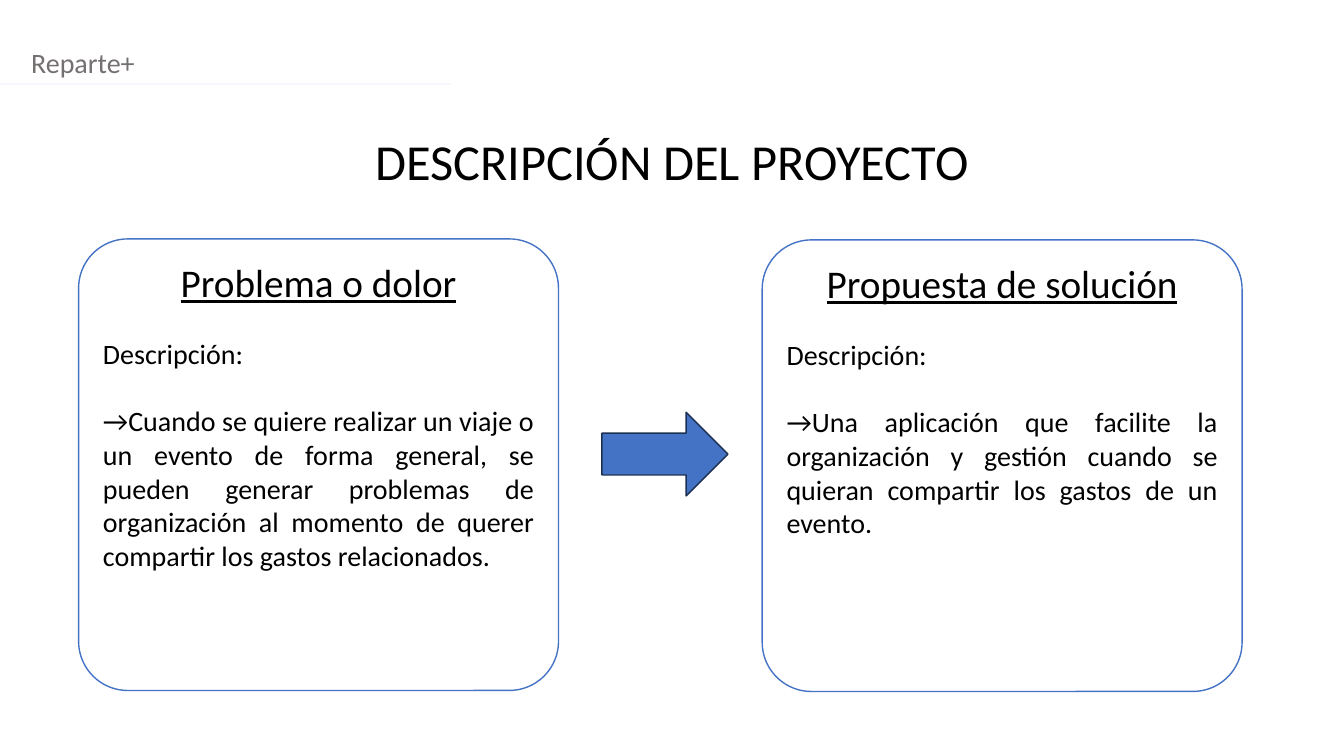
from lxml import etree
from pptx import Presentation
from pptx.dml.color import RGBColor
from pptx.enum.shapes import MSO_CONNECTOR, MSO_SHAPE
from pptx.enum.text import MSO_ANCHOR, PP_ALIGN
from pptx.oxml.ns import qn
from pptx.util import Inches, Pt

ROUNDED = MSO_SHAPE.ROUNDED_RECTANGLE
RIGHT_ARROW = MSO_SHAPE.RIGHT_ARROW
STRAIGHT = MSO_CONNECTOR.STRAIGHT
TOP = MSO_ANCHOR.TOP
LEFT, CENTER, JUSTIFY = PP_ALIGN.LEFT, PP_ALIGN.CENTER, PP_ALIGN.JUSTIFY

SLIDE_WIDTH, SLIDE_HEIGHT = 13.33, 7.5
CARD_WIDTH, CARD_HEIGHT = 4.76, 4.48

CARDS = [
    (0.78, 2.37, "Problema o dolor",
     "→Cuando se quiere realizar un viaje o un evento de forma general, "
     "se pueden generar problemas de organización al momento de querer "
     "compartir los gastos relacionados."),
    (7.56, 2.38, "Propuesta de solución",
     "→Una aplicación que facilite la organización y gestión cuando se "
     "quieran compartir los gastos de un evento."),
]


def color(value):
    return RGBColor.from_string(value)


def write(paragraph, text, size=20, fill="000000", align=LEFT,
          underline=False, before=0):
    paragraph.alignment = align
    paragraph.space_before = Pt(before)
    run = paragraph.add_run()
    run.text = text
    run.font.name = SlideBuilder.font
    run.font.size = Pt(size)
    run.font.underline = underline
    run.font.color.rgb = color(fill)


class SlideBuilder:
    font = "Calibri"
    blue = "4472C4"
    dark_blue = "1C3052"
    pale_blue = "F5F7FC"
    gray = "757070"
    white = "FFFFFF"

    def __init__(self, slide):
        self.slide = slide

    def label(self, left, top, width, height, text, **style):
        box = self.slide.shapes.add_textbox(
            Inches(left), Inches(top), Inches(width), Inches(height))
        box.text_frame.word_wrap = True
        write(box.text_frame.paragraphs[0], text, **style)

    def rule(self, left, top, width):
        line = self.slide.shapes.add_connector(
            STRAIGHT, Inches(left), Inches(top),
            Inches(left + width), Inches(top))
        line.line.color.rgb = color(self.pale_blue)
        line.line.width = Pt(1.25)
        etree.SubElement(line._element.spPr, qn("a:effectLst"))

    def shape(self, kind, left, top, width, height, fill, outline):
        shape = self.slide.shapes.add_shape(
            kind, Inches(left), Inches(top), Inches(width), Inches(height))
        shape.shadow.inherit = False
        shape.fill.solid()
        shape.fill.fore_color.rgb = color(fill)
        shape.line.color.rgb = color(outline)
        shape.line.width = Pt(1)
        return shape

    def card(self, left, top, heading, description):
        card = self.shape(ROUNDED, left, top, CARD_WIDTH, CARD_HEIGHT,
                          self.white, self.blue)
        card.adjustments[0] = 0.109
        frame = card.text_frame
        frame.word_wrap = True
        frame.vertical_anchor = TOP
        write(frame.paragraphs[0], heading, size=28, align=CENTER,
              underline=True)
        write(frame.add_paragraph(), "Descripción:", align=JUSTIFY, before=22)
        write(frame.add_paragraph(), description, align=JUSTIFY, before=24.4)


def main():
    presentation = Presentation()
    presentation.slide_width = Inches(SLIDE_WIDTH)
    presentation.slide_height = Inches(SLIDE_HEIGHT)
    slide = presentation.slides.add_slide(presentation.slide_layouts[6])
    builder = SlideBuilder(slide)

    builder.label(0.21, 0.4, 13.12, 0.44, "Reparte+", fill=builder.gray)
    builder.label(0, 1.24, SLIDE_WIDTH, 0.71, "DESCRIPCIÓN DEL PROYECTO",
                  size=36, align=CENTER)
    builder.rule(0, 0.83, 4.47)
    for card in CARDS:
        builder.card(*card)
    builder.shape(RIGHT_ARROW, 5.97, 4.09, 1.25, 0.83,
                  builder.blue, builder.dark_blue)

    presentation.save("out.pptx")


if __name__ == "__main__":
    main()
